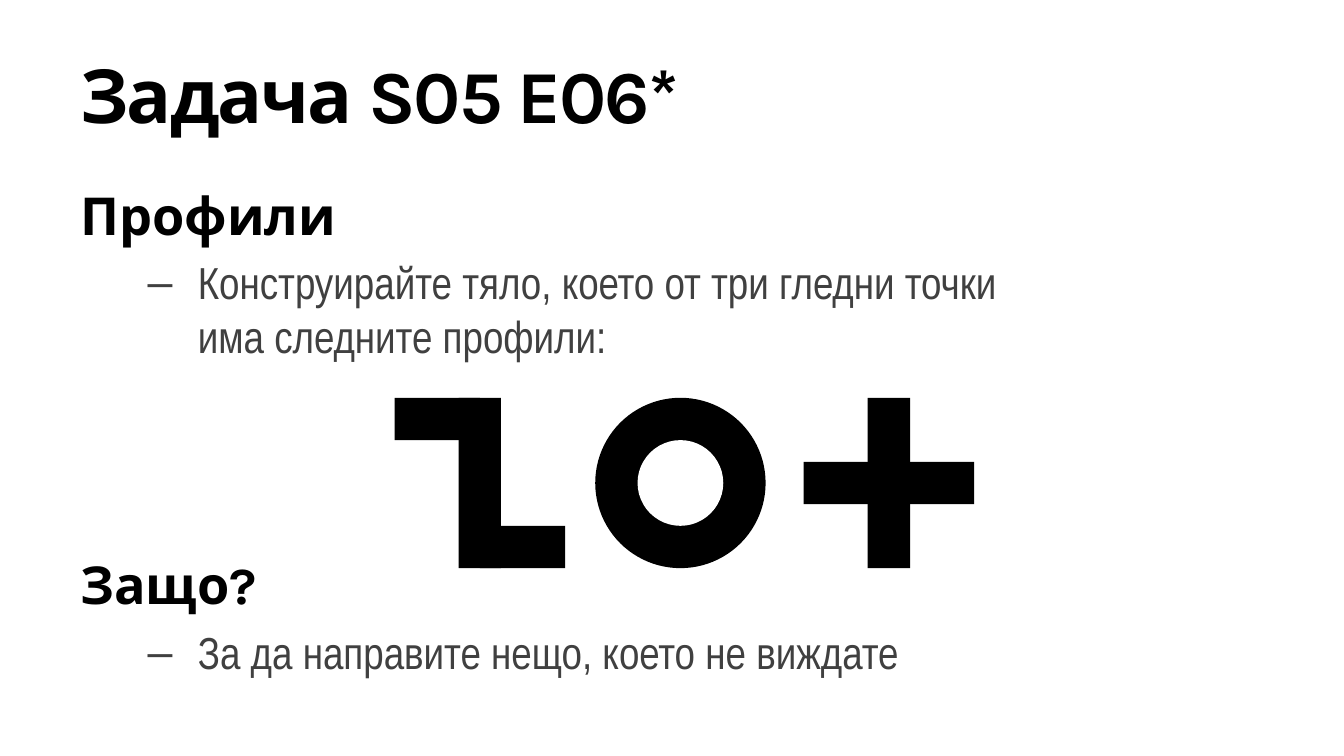
"""Build the slide for task S05 E06 with its three profile figures."""
from lxml.etree import SubElement
from pptx import Presentation
from pptx.dml.color import RGBColor
from pptx.enum.shapes import MSO_SHAPE
from pptx.enum.text import MSO_ANCHOR
from pptx.oxml.ns import qn
from pptx.util import Cm, Pt

COLORS = {"black": "000000", "gray": "404040", "white": "FFFFFF"}


def style_paragraph(paragraph, font_name, size, bold, color):
    paragraph.font.name = font_name
    paragraph.font.size = Pt(size)
    paragraph.font.bold = bold
    paragraph.font.color.rgb = RGBColor.from_string(COLORS[color])


def add_figure_part(kind, left, top, width, height, color="black"):
    shape = slide.shapes.add_shape(kind, Cm(left), Cm(top), Cm(width), Cm(height))
    shape.shadow.inherit = False
    shape.fill.solid()
    shape.fill.fore_color.rgb = RGBColor.from_string(COLORS[color])
    shape.line.fill.background()


presentation = Presentation()
presentation.slide_width = Cm(25.4)
presentation.slide_height = Cm(14.29)
slide = presentation.slides.add_slide(presentation.slide_layouts[6])

title_box = slide.shapes.add_textbox(Cm(1.27), Cm(0.58), Cm(24.13), Cm(2.39))
title_frame = title_box.text_frame
title_frame.word_wrap = True
title_frame.vertical_anchor = MSO_ANCHOR.MIDDLE
title = title_frame.paragraphs[0]
title_run = title.add_run()
title_run.text = "Задача S05 E06*"
title_run._r.get_or_add_rPr().set("spc", "-100")
style_paragraph(title, "Karla", 40, True, "black")

body_box = slide.shapes.add_textbox(Cm(1.27), Cm(3.33), Cm(24.13), Cm(10.64))
body_frame = body_box.text_frame
body_frame.word_wrap = True
sections = [
    ("Профили", "Конструирайте тяло, което от три гледни точки\vима следните профили:", 0),
    ("Защо?", "За да направите нещо, което не виждате", 102),
]
for index, (heading_text, bullet_text, space_before) in enumerate(sections):
    heading = body_frame.add_paragraph() if index else body_frame.paragraphs[0]
    heading.text = heading_text
    heading.space_before = Pt(space_before)
    style_paragraph(heading, "Karla", 28, True, "black")

    bullet = body_frame.add_paragraph()
    bullet.text = bullet_text
    bullet.level = 1
    properties = bullet._p.get_or_add_pPr()
    properties.set("marL", str(Cm(2.22)))
    properties.set("indent", str(Cm(-0.95)))
    SubElement(properties, qn("a:buFont"), typeface="Arial")
    SubElement(properties, qn("a:buChar"), char="–")
    bullet.space_before = Pt(5)
    style_paragraph(bullet, "Arial Narrow", 24, False, "gray")

size, stroke, top = 3.22, 0.8, 7.52
middle = (size - stroke) / 2
step_left, ring_left, plus_left = 7.46, 11.25, 15.19

add_figure_part(MSO_SHAPE.OVAL, ring_left, top, size, size)
hole = size - 2 * stroke
add_figure_part(MSO_SHAPE.OVAL, ring_left + stroke, top + stroke, hole, hole, "white")

for stem_left in (step_left, plus_left):
    add_figure_part(MSO_SHAPE.RECTANGLE, stem_left + middle, top, stroke, size)
add_figure_part(MSO_SHAPE.RECTANGLE, plus_left, top + middle, size, stroke)
add_figure_part(MSO_SHAPE.RECTANGLE, step_left, top, size / 2, stroke)
add_figure_part(MSO_SHAPE.RECTANGLE, step_left + size / 2, top + size - stroke, size / 2, stroke)

presentation.save("out.pptx")
